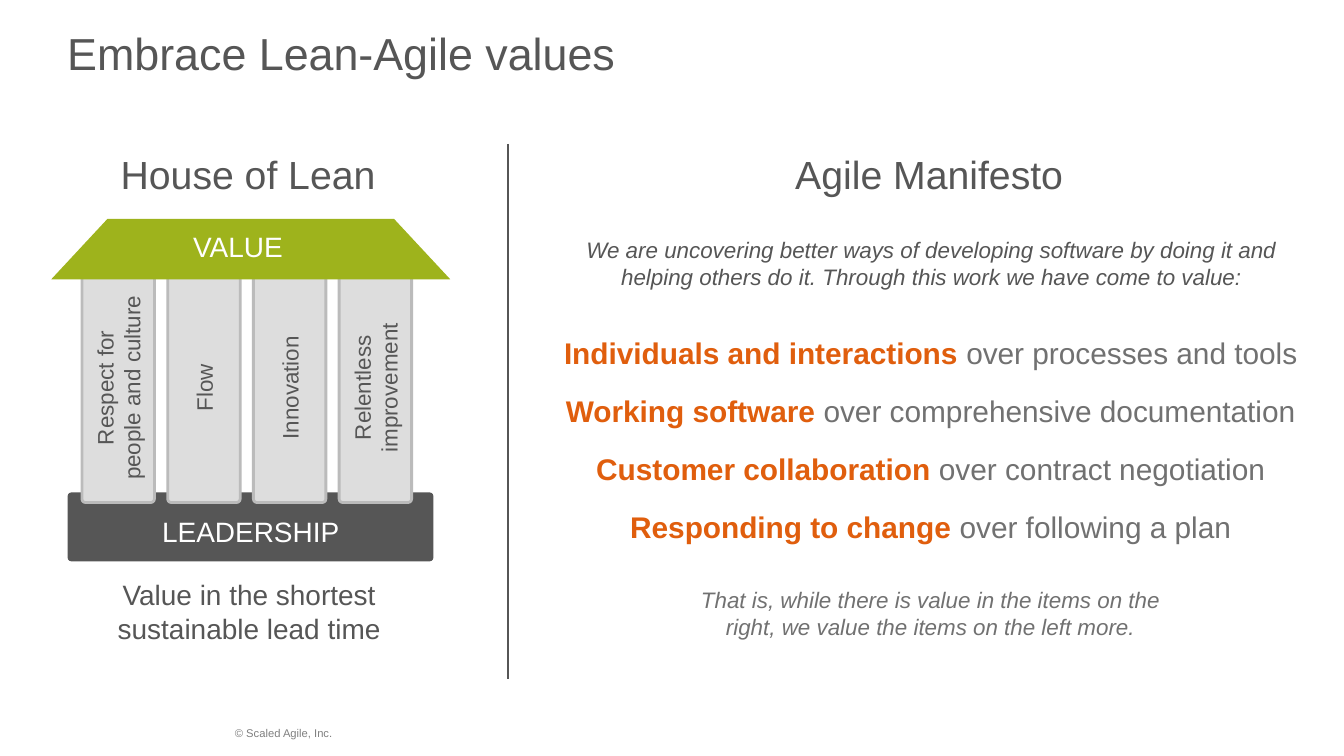
import pptx
import pptx.dml.color
import pptx.enum.shapes
import pptx.enum.text
import pptx.oxml
import pptx.util
from pptx.util import Cm

SHAPES = pptx.enum.shapes.MSO_SHAPE
ALIGN = pptx.enum.text.PP_ALIGN
AUTOSIZE = pptx.enum.text.MSO_AUTO_SIZE

THEME = {
    "font": "Arial",
    "colors": {
        "dark": "565656", "gray": "717171", "footer": "808080",
        "pillar": "DDDDDD", "edge": "BBBBBB", "green": "9EB31C",
        "orange": "E05E0D", "white": "FFFFFF",
    },
    "styles": {
        "title": {"size": 24, "color": "dark"},
        "heading": {"size": 21, "color": "dark"},
        "strong": {"size": 16, "color": "orange", "bold": True},
        "plain": {"size": 16, "color": "gray", "bold": False},
        "caption": {"size": 15, "color": "dark"},
        "block": {"size": 15, "color": "white"},
        "pillar": {"size": 12, "color": "dark"},
        "intro": {"size": 12, "color": "dark", "italic": True},
        "closing": {"size": 12, "color": "gray", "italic": True},
        "footer": {"size": 6, "color": "footer"},
    },
}

# All lengths are centimetres; boxes are left, top, width, height.
TITLE = "Embrace Lean-Agile values"
TITLE_BOX = (1.27, 0.48, 22.86, 0.94)

PILLARS = [  # lines of the label, length of the label box
    (["Respect for", "people and culture"], 4.01),
    (["Flow"], 1.42),
    (["Innovation"], 2.49),
    (["Relentless", "improvement"], 2.97),
]
PILLAR_BOX = (1.55, 5.16, 1.37, 4.34)
PILLAR_PITCH = 1.62
LABEL_HEIGHTS = {1: 0.76, 2: 1.27}

ROOF_BOX = (0.97, 4.14, 7.54, 1.14)
BASE_BOX = (1.28, 9.31, 6.91, 1.3)
DIVIDER = (9.6, 2.72, 9.6, 12.83)

CENTERED_TEXTS = [  # style, box, lines
    ("block", (1.3, 9.6, 6.88, 1.07), ["LEADERSHIP"]),
    ("caption", (0.58, 10.8, 8.26, 1.55),
     ["Value in the shortest", "sustainable lead time"]),
    ("closing", (12.98, 10.95, 9.22, 1.27),
     ["That is, while there is value in the items on the right, "
      "we value the items on the left more."]),
    ("intro", (10.64, 4.34, 13.94, 1.27),
     ["We are uncovering better ways of developing software by doing it and "
      "helping others do it. Through this work we have come to value:"]),
]
LABELS = [
    ("heading", (2.03, 2.72, 5.36, 1.14), "House of Lean"),
    ("heading", (14.78, 2.72, 5.61, 1.14), "Agile Manifesto"),
    ("block", (3.4, 4.22, 2.62, 1.07), "VALUE"),
]
FOOTER = ("footer", (4.19, 13.61, 5.26, 0.51), "© Scaled Agile, Inc.")

VALUES_BOX = (10.21, 6.2, 14.76, 4.27)
VALUES = [
    ("Individuals and interactions ", "over processes and tools"),
    ("Working software ", "over comprehensive documentation"),
    ("Customer collaboration ", "over contract negotiation"),
    ("Responding to change ", "over following a plan"),
]


def rgb(name):
    return pptx.dml.color.RGBColor.from_string(THEME["colors"][name])


def add_span(para, text, style):
    span = para.add_run()
    span.text = text
    span.font.name = THEME["font"]
    for key, value in THEME["styles"][style].items():
        if key == "color":
            span.font.color.rgb = rgb(value)
        else:
            setattr(span.font, key, pptx.util.Pt(value) if key == "size" else value)


def fill_frame(frame, paragraphs, **para_format):
    """Write paragraphs, each a list of (text, style) pairs."""
    for index, spans in enumerate(paragraphs):
        para = frame.add_paragraph() if index else frame.paragraphs[0]
        for key, value in para_format.items():
            setattr(para, key, value)
        for text, style in spans:
            add_span(para, text, style)


def add_text(page, place, paragraphs, wrap=True, rotation=0, **para_format):
    box = page.shapes.add_textbox(*map(Cm, place))
    box.rotation = rotation
    box.text_frame.word_wrap = wrap
    box.text_frame.auto_size = AUTOSIZE.SHAPE_TO_FIT_TEXT
    fill_frame(box.text_frame, paragraphs, **para_format)


def add_block(page, kind, place, fill, adjustment, edge=None):
    block = page.shapes.add_shape(kind, *map(Cm, place))
    block.shadow.inherit = False
    block.adjustments[0] = adjustment
    block.fill.solid()
    block.fill.fore_color.rgb = rgb(fill)
    if edge:
        block.line.color.rgb = rgb(edge)
        block.line.width = pptx.util.Pt(1.5)
    else:
        block.line.fill.background()


def add_title(page):
    title = page.shapes.title
    title.left, title.top, title.width, title.height = map(Cm, TITLE_BOX)
    frame = title.text_frame
    frame_format = {
        "margin_left": 0, "margin_top": 0, "margin_right": 0, "margin_bottom": 0,
        "word_wrap": True, "auto_size": AUTOSIZE.NONE,
        "vertical_anchor": pptx.enum.text.MSO_ANCHOR.TOP,
    }
    for key, value in frame_format.items():
        setattr(frame, key, value)
    fill_frame(frame, [[(TITLE, "title")]], alignment=ALIGN.LEFT)


def add_divider(page):
    line = page.shapes.add_connector(
        pptx.enum.shapes.MSO_CONNECTOR.STRAIGHT, *map(Cm, DIVIDER))
    line.line.color.rgb = rgb("dark")
    line.line.width = pptx.util.Pt(0.75)
    properties = line._element.spPr
    properties.append(pptx.oxml.parse_xml(
        '<a:effectLst xmlns:a="http://schemas.openxmlformats.org/drawingml/2006/main"/>'))


def add_house(page):
    add_block(page, SHAPES.ROUNDED_RECTANGLE, BASE_BOX, "dark", 0.05)
    left, top, width, height = PILLAR_BOX
    for index, (lines, length) in enumerate(PILLARS):
        x = left + index * PILLAR_PITCH
        add_block(page, SHAPES.ROUNDED_RECTANGLE, (x, top, width, height),
                  "pillar", 0.05, "edge")
        depth = LABEL_HEIGHTS[len(lines)]
        place = (x + (width - length) / 2, top + (height - depth) / 2, length, depth)
        add_text(page, place, [[(line, "pillar")] for line in lines],
                 wrap=False, rotation=270, alignment=ALIGN.CENTER)
    add_block(page, SHAPES.TRAPEZOID, ROOF_BOX, "green", 0.93)


def main():
    deck = pptx.Presentation()
    deck.slide_width, deck.slide_height = Cm(25.4), Cm(14.29)
    page = deck.slides.add_slide(deck.slide_layouts[5])
    add_title(page)
    add_divider(page)
    add_house(page)
    for style, place, text in LABELS:
        add_text(page, place, [[(text, style)]], wrap=False)
    for style, place, lines in CENTERED_TEXTS:
        add_text(page, place, [[(line, style)] for line in lines],
                 alignment=ALIGN.CENTER)
    add_text(page, VALUES_BOX,
             [[(first, "strong"), (second, "plain")] for first, second in VALUES],
             alignment=ALIGN.CENTER, space_after=pptx.util.Pt(12))
    style, place, text = FOOTER
    add_text(page, place, [[(text, style)]])
    deck.save("out.pptx")


if __name__ == "__main__":
    main()
